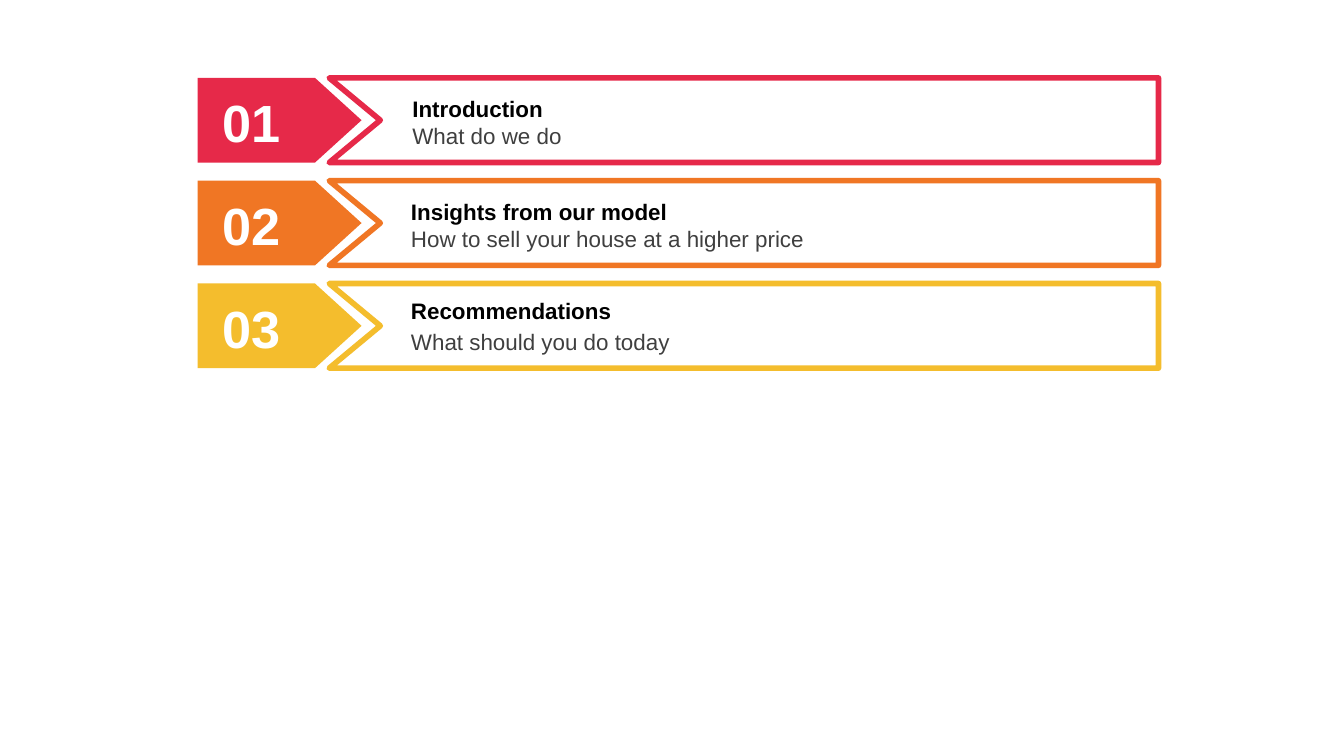
from lxml.etree import SubElement
from pptx import Presentation
from pptx.dml.color import RGBColor
from pptx.enum.shapes import MSO_SHAPE
from pptx.enum.text import MSO_ANCHOR
from pptx.oxml.ns import qn
from pptx.util import Inches, Pt


def color(code):
    """Turn a hex string into a colour."""
    return RGBColor.from_string(code)


def paint(shape, fill, line=None):
    """Set the fill and outline of a shape, with round corners."""
    shape.shadow.inherit = False
    shape.fill.solid()
    shape.fill.fore_color.rgb = color(fill)
    if line:
        shape.line.color.rgb = color(line)
        shape.line.width = Pt(3)
        SubElement(shape.line._get_or_add_ln(), qn("a:round"))
    else:
        shape.line.fill.background()


def write(shapes, box, words, size, ink, bold=False, pad=0.05, space=None):
    """Add a text box holding one run."""
    frame = shapes.add_textbox(*map(Inches, box)).text_frame
    frame.word_wrap = True
    frame.margin_left = frame.margin_right = Inches(0.1)
    frame.margin_top = frame.margin_bottom = Inches(pad)
    if not pad:
        frame.vertical_anchor = MSO_ANCHOR.MIDDLE
    para = frame.paragraphs[0]
    if space:
        para.line_spacing = space
    run = para.add_run()
    run.text = words
    run.font.name = "Arial"
    run.font.size = Pt(size)
    run.font.bold = bold
    run.font.color.rgb = color(ink)


def banner(shapes, left, top, width, height, hue):
    """Draw the notched outline."""
    right, base = left + width, top + height
    spots = [(right, top), (right, base), (left, base),
             (left + 0.38, top + height / 2)]
    pen = shapes.build_freeform(Inches(left), Inches(top))
    pen.add_line_segments([(Inches(x), Inches(y)) for x, y in spots])
    paint(pen.convert_to_shape(), "FFFFFF", hue)


def item(slide, left, top, height, hue, number, title, detail, shift, space):
    """Place one numbered agenda row."""
    shapes = slide.shapes.add_group_shape().shapes
    banner(shapes, left + 0.98, top, 6.17, height, hue)
    arrow = shapes.add_shape(MSO_SHAPE.PENTAGON, Inches(left), Inches(top),
                             Inches(1.22), Inches(height))
    arrow.adjustments[0] = 0.55
    paint(arrow, hue)
    write(shapes, (left + 0.09, top + 0.09, 0.66, 0.47), number, 28,
          "FFFFFF", True, 0)
    start = left + 1.49 + shift
    write(shapes, (start, top + 0.05, 5.3, 0.3), title, 12, "000000", True,
          space=space)
    write(shapes, (start, top + 0.28, 5.3, 0.3), detail, 12, "3F3F3F")


def main():
    """Build the agenda slide."""
    deck = Presentation()
    deck.slide_width = Inches(10)
    deck.slide_height = deck.slide_width * 9 // 16
    slide = deck.slides.add_slide(deck.slide_layouts[6])
    rows = [
        ("E62949", "Introduction", "What do we do", 0.01, 1.15),
        ("F07624", "Insights from our model",
         "How to sell your house at a higher price", 0, 1.15),
        ("F4BD2D", "Recommendations", "What should you do today", 0, None),
    ]
    for i, (hue, title, detail, shift, space) in enumerate(rows):
        item(slide, 1.47, 0.58 + i * 1.53 / 2, 0.63, hue, f"{i + 1:02}",
             title, detail, shift, space)
    deck.save("out.pptx")


if __name__ == "__main__":
    main()
